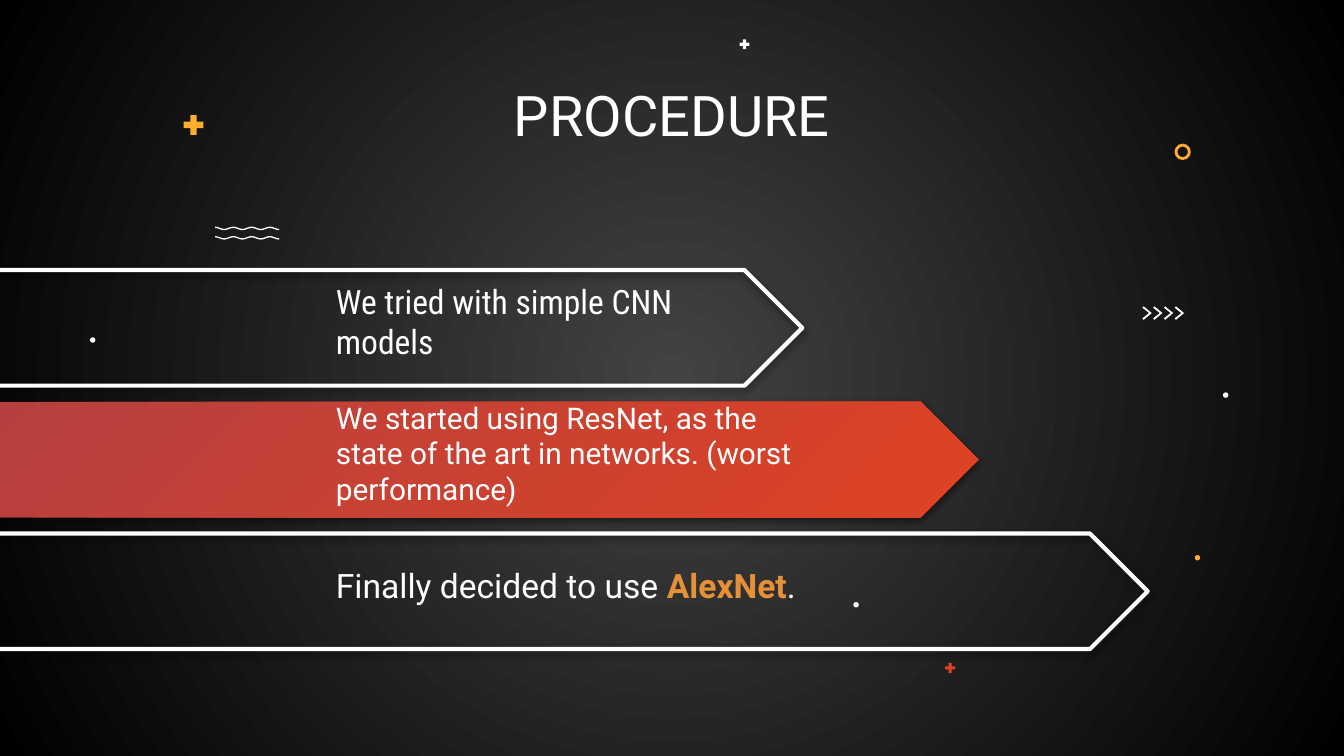
import math
from lxml import etree
from pptx import Presentation
from pptx.dml.color import RGBColor
from pptx.enum import shapes, text
from pptx.oxml import ns
from pptx.util import Inches, Pt

THEME = dict(white="FFFFFF", amber="FFAD2C", red="DE4223", rose="B64040",
             name="E69138", gray="434343", black="000000",
             main="Roboto", slim="Roboto Condensed", head=30, body=18, small=16)
KIND = shapes.MSO_SHAPE

TITLE = "PROCEDURE"
# left, top, width, filled
ARROWS = [(-0.13, 2.99, 7.41, True), (-0.19, 2.01, 6.16, False),
          (-0.19, 3.97, 8.73, False)]
TALL = 0.86
# box, font, size, runs of (words, colour, bold)
LABELS = [
    ((2.49, 2.05, 3.03, 0.78), "slim", "body",
     [("We tried with simple CNN models", "white", False)]),
    ((2.49, 4.11, 3.56, 0.58), "main", "body",
     [("Finally decided to use ", "white", False), ("AlexNet", "name", True),
      (".", "white", False)]),
    ((2.49, 3.13, 3.56, 0.58), "main", "small",
     [("We started using ResNet, as the state of the art in networks. "
       "(worst performance)", "white", False)]),
]
# left, top, size, colour
PLUSES = [(1.34, 0.83, 0.2, "amber"), (5.49, 0.28, 0.1, "white"),
          (7.02, 4.92, 0.1, "red")]
DOTS = [(0.67, 2.51, 0.04, "white"), (9.1, 2.92, 0.04, "white"),
        (6.35, 4.48, 0.04, "white"), (8.89, 4.13, 0.04, "amber")]
RING = (8.75, 1.08, 0.1, "amber")
WAVES = [1.7, 1.77]
WAVE = dict(left=1.6, cycle=0.136, count=3.5, high=0.008, thick=0.01, steps=56)
HOOK = [(0, 0.01), (0.01, 0), (0.07, 0.05), (0.01, 0.1), (0, 0.09), (0.05, 0.05)]
HOOKS = dict(left=8.5, top=2.28, step=0.08, count=4)


def tint(key):
    return RGBColor.from_string(THEME[key])


def paint(shape, fill=None, line=None, width=1.5):
    shape.shadow.inherit = False
    if fill:
        shape.fill.solid()
        shape.fill.fore_color.rgb = tint(fill)
    else:
        shape.fill.background()
    if line:
        shape.line.color.rgb = tint(line)
        shape.line.width = Pt(width)
    else:
        shape.line.fill.background()


def glow(fill, keys, rect):
    """Set a circular gradient that is centred on rect (l, t, r, b percent)."""
    fill.gradient()
    for stop, key, spot in zip(fill.gradient_stops, keys, (0, 1)):
        stop.color.rgb = tint(key)
        stop.position = spot
    grad = fill._xPr.find(ns.qn("a:gradFill"))
    lin = grad.find(ns.qn("a:lin"))
    ring = etree.Element(ns.qn("a:path"), {"path": "circle"})
    etree.SubElement(ring, ns.qn("a:fillToRect"),
                     {k: str(v * 1000) for k, v in zip("ltrb", rect)})
    grad.replace(lin, ring)


def shade(shape):
    """Add a soft shadow that falls straight down."""
    effects = shape._element.spPr.find(ns.qn("a:effectLst"))
    drop = etree.SubElement(effects, ns.qn("a:outerShdw"), {
        "blurRad": str(Pt(4.5)), "dist": str(Pt(1.5)), "dir": "5400000",
        "algn": "bl", "rotWithShape": "0"})
    ink = etree.SubElement(drop, ns.qn("a:srgbClr"), {"val": THEME["black"]})
    etree.SubElement(ink, ns.qn("a:alpha"), {"val": "50000"})


def mark(slide, kind, left, top, size):
    return slide.shapes.add_shape(kind, *map(Inches, (left, top, size, size)))


def outline(slide, points):
    """Draw a closed white shape through points given in inches."""
    spots = [(Inches(x), Inches(y)) for x, y in points]
    pen = slide.shapes.build_freeform(*spots[0])
    pen.add_line_segments(spots[1:], close=True)
    paint(pen.convert_to_shape(), "white")


def wave(slide, mid):
    w = WAVE
    span = w["cycle"] * w["count"] / w["steps"]
    turn = math.tau * w["count"] / w["steps"]
    edge = [(w["left"] + i * span, mid - w["high"] * math.cos(i * turn))
            for i in range(w["steps"] + 1)]
    half = w["thick"] / 2
    outline(slide, [(x, y - half) for x, y in edge]
            + [(x, y + half) for x, y in reversed(edge)])


def decorate(slide):
    for mid in WAVES:
        wave(slide, mid)
    for *box, key in PLUSES:
        plus = mark(slide, KIND.MATH_PLUS, *box)
        plus.adjustments[0] = 0.235
        paint(plus, key)
    for *box, key in DOTS:
        paint(mark(slide, KIND.OVAL, *box), key)
    *box, key = RING
    paint(mark(slide, KIND.OVAL, *box), line=key)
    for i in range(HOOKS["count"]):
        left = HOOKS["left"] + i * HOOKS["step"]
        outline(slide, [(left + x, HOOKS["top"] + y) for x, y in HOOK])


def arrow(slide, left, top, wide, filled):
    shape = slide.shapes.add_shape(
        KIND.PENTAGON, *map(Inches, (left, top, wide, TALL)))
    shape.adjustments[0] = 0.5
    paint(shape, line=None if filled else "white", width=2.25)
    if filled:
        glow(shape.fill, ("red", "rose"), (100, 100, 0, 0))
    shade(shape)


def write(shape, font, size, runs, frame, para):
    for name, value in frame.items():
        setattr(shape.text_frame, name, value)
    line = shape.text_frame.paragraphs[0]
    for name, value in para.items():
        setattr(line, name, value)
    for words, key, bold in runs:
        run = line.add_run()
        run.text = words
        look = dict(name=THEME[font], size=Pt(THEME[size]), bold=bold)
        for name, value in look.items():
            setattr(run.font, name, value)
        run.font.color.rgb = tint(key)


def main():
    deck = Presentation()
    deck.slide_width = Inches(10)
    deck.slide_height = deck.slide_width * 9 // 16
    slide = deck.slides.add_slide(deck.slide_layouts[5])
    glow(slide.background.fill, ("gray", "black"), (50, 50, 50, 50))
    decorate(slide)
    for item in ARROWS:
        arrow(slide, *item)

    frame = dict(word_wrap=True, auto_size=text.MSO_AUTO_SIZE.NONE,
                 margin_left=0, margin_right=0, margin_top=0, margin_bottom=0)
    title = slide.shapes.title
    place = dict(left=1.6, top=0.6, width=6.8, height=0.58)
    for name, value in place.items():
        setattr(title, name, Inches(value))
    write(title, "main", "head", [(TITLE, "white", False)],
          frame | dict(vertical_anchor=text.MSO_ANCHOR.TOP),
          dict(alignment=text.PP_ALIGN.CENTER))

    frame |= dict(vertical_anchor=text.MSO_ANCHOR.MIDDLE,
                  margin_left=Inches(0.01), margin_bottom=Inches(0.1))
    for box, font, size, runs in LABELS:
        label = slide.shapes.add_textbox(*map(Inches, box))
        write(label, font, size, runs, frame,
              dict(alignment=text.PP_ALIGN.LEFT, space_before=Pt(8)))
    deck.save("out.pptx")


if __name__ == "__main__":
    main()
